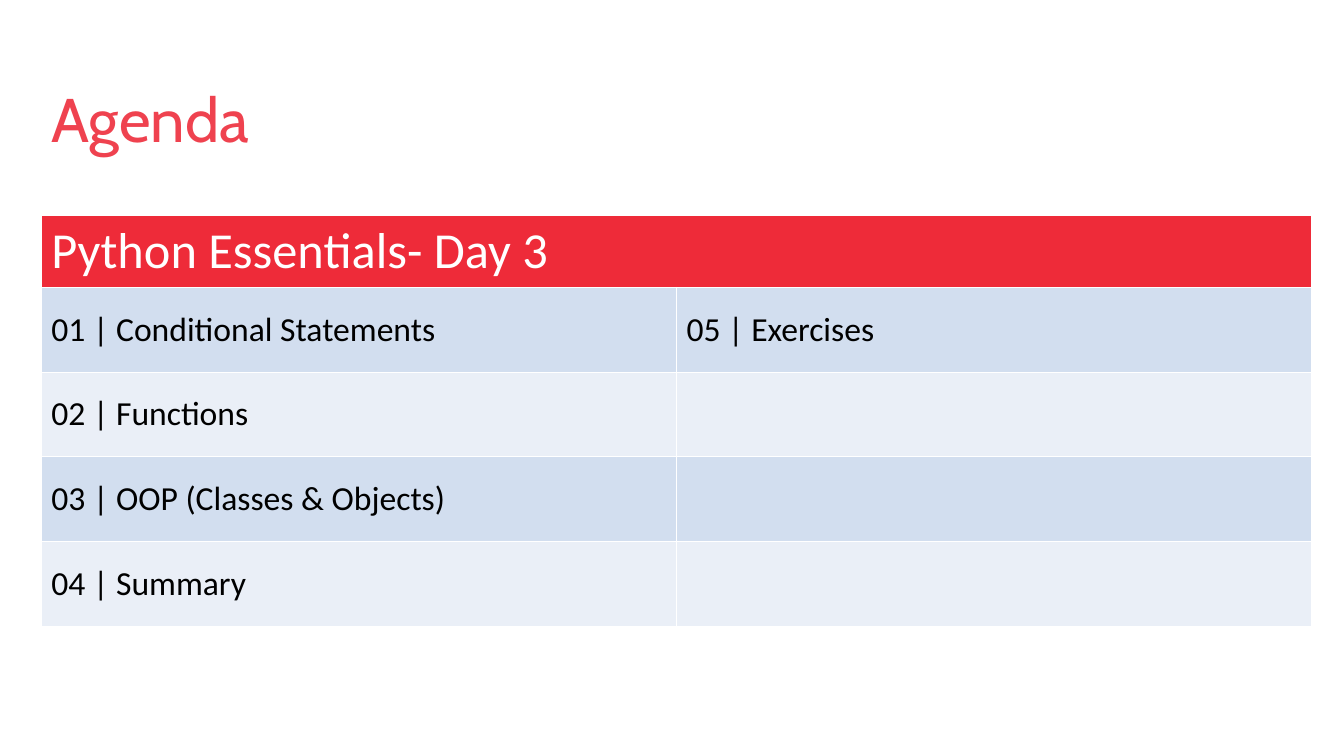
"""Build the agenda slide for day 3 of a Python course."""
from pptx import Presentation
from pptx.dml.color import RGBColor
from pptx.enum.text import MSO_ANCHOR
from pptx.util import Inches, Pt

TITLE = "Agenda"
HEADING = "Python Essentials- Day 3"
TOPICS = [
    ("01 | Conditional Statements", "05 | Exercises"),
    ("02 | Functions", ""),
    ("03 | OOP (Classes & Objects)", ""),
    ("04 | Summary", ""),
]

CORAL = RGBColor(0xEF, 0x42, 0x4F)
RED = RGBColor(0xEE, 0x2B, 0x39)
WHITE = RGBColor(0xFF, 0xFF, 0xFF)
BLACK = RGBColor(0x00, 0x00, 0x00)
BANDS = [RGBColor(0xD2, 0xDE, 0xEF), RGBColor(0xEA, 0xEF, 0xF7)]

LEFT, WIDTH = 0.41, 12.6
TITLE_TOP, TITLE_HEIGHT = 0.2, 1.16
AGENDA_TOP, HEADING_HEIGHT, TOPIC_HEIGHT = 2.14, 0.71, 0.84


def write(frame, text, size, color, font="Calibri"):
    """Put one formatted run into a text frame."""
    run = frame.paragraphs[0].add_run()
    run.text = text
    run.font.size = Pt(size)
    run.font.name = font
    run.font.bold = False
    run.font.color.rgb = color


def paint(cell, color):
    """Fill a cell and centre its content vertically."""
    cell.fill.solid()
    cell.fill.fore_color.rgb = color
    cell.vertical_anchor = MSO_ANCHOR.MIDDLE


def add_agenda(slide):
    """Add the heading row and the banded topic rows."""
    columns = len(TOPICS[0])
    height = HEADING_HEIGHT + TOPIC_HEIGHT * len(TOPICS)
    agenda = slide.shapes.add_table(
        len(TOPICS) + 1, columns,
        Inches(LEFT), Inches(AGENDA_TOP), Inches(WIDTH), Inches(height),
    ).table
    for column in agenda.columns:
        column.width = Inches(WIDTH / columns)

    agenda.rows[0].height = Inches(HEADING_HEIGHT)
    heading = agenda.cell(0, 0)
    heading.merge(agenda.cell(0, columns - 1))
    paint(heading, RED)
    write(heading.text_frame, HEADING, size=36, color=WHITE)

    for row, topics in enumerate(TOPICS, start=1):
        agenda.rows[row].height = Inches(TOPIC_HEIGHT)
        for column, topic in enumerate(topics):
            cell = agenda.cell(row, column)
            paint(cell, BANDS[(row - 1) % len(BANDS)])
            if topic:
                write(cell.text_frame, topic, size=24, color=BLACK)


def add_title(slide):
    """Add the slide title above the agenda."""
    title = slide.shapes.add_textbox(
        Inches(LEFT), Inches(TITLE_TOP), Inches(WIDTH), Inches(TITLE_HEIGHT)
    ).text_frame
    title.word_wrap = True
    title.vertical_anchor = MSO_ANCHOR.TOP
    title.margin_top = Inches(0.6)
    title.margin_bottom = 0
    write(title, TITLE, size=44, color=CORAL, font="Cabin")


def main():
    """Create and save the presentation."""
    deck = Presentation()
    deck.slide_width, deck.slide_height = Inches(13.33), Inches(7.5)
    slide = deck.slides.add_slide(deck.slide_layouts[6])
    add_agenda(slide)
    add_title(slide)
    deck.save("out.pptx")


if __name__ == "__main__":
    main()
